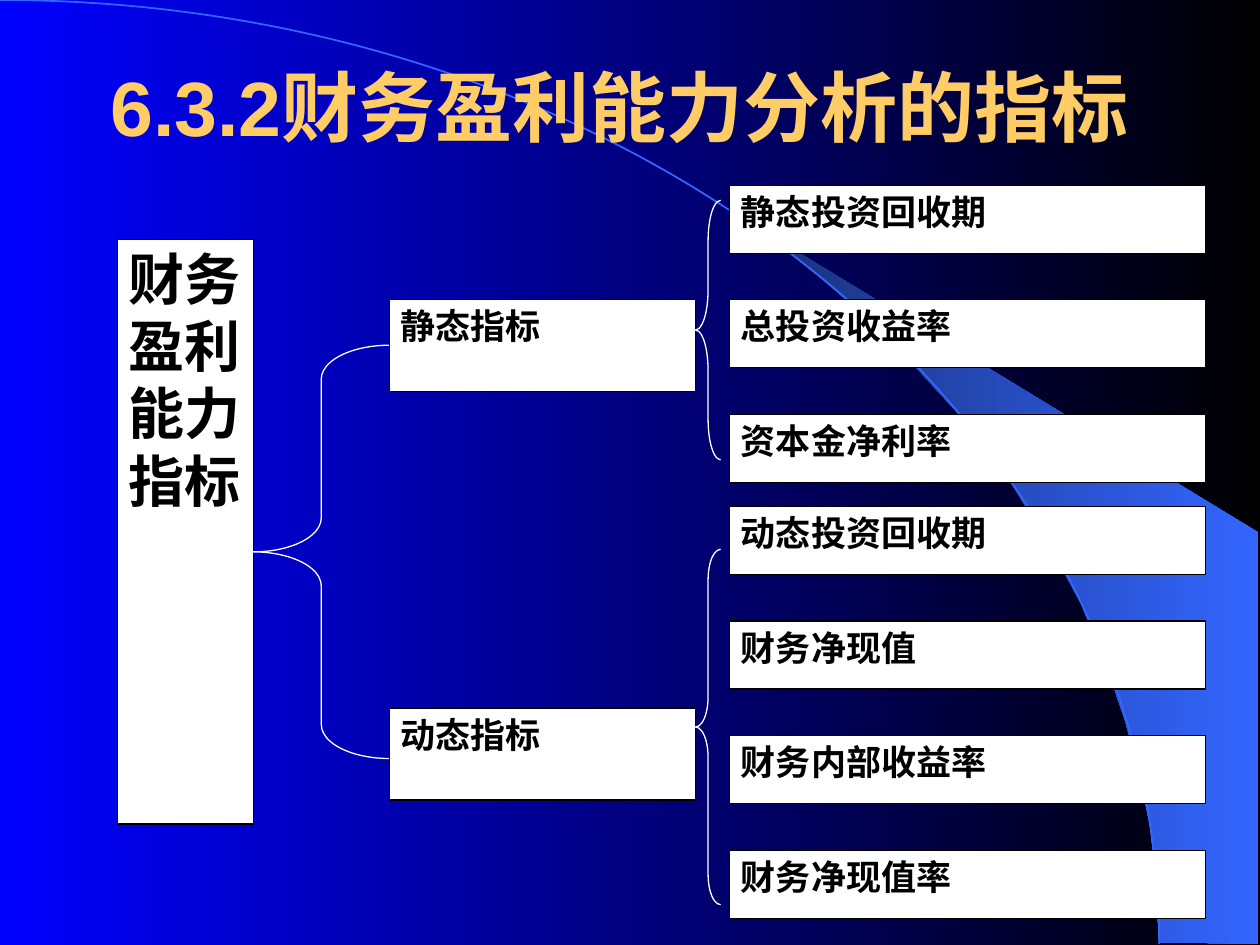
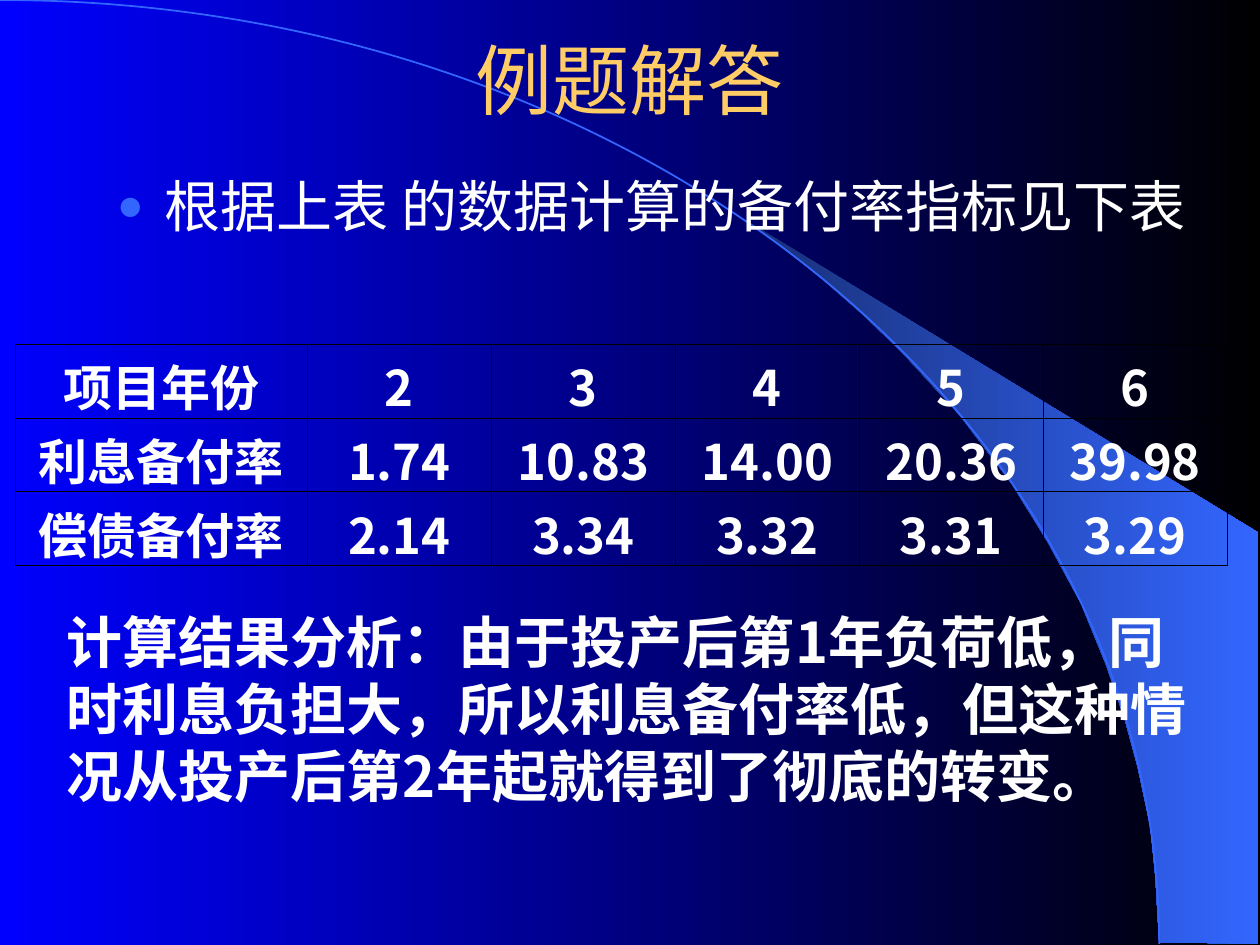
from dataclasses import dataclass
from lxml.etree import SubElement
from pptx import Presentation
from pptx.dml.color import RGBColor as Rgb
from pptx.enum.shapes import MSO_SHAPE as Kind
from pptx.enum.text import MSO_ANCHOR as Anchor, PP_ALIGN as Align
from pptx.oxml import parse_xml
from pptx.oxml.ns import qn
from pptx.util import Inches, Pt

HUE = {
    "blue": "0000FF", "black": "000000", "white": "FFFFFF",
    "gold": "FFCC66", "navy": "182F76", "sky": "3366FF",
}
SERIF, SANS, CJK = "Times New Roman", "Arial", "Noto Sans CJK SC"
WEDGE = [
    (9.2, 7.48), (9.99, 7.49), (9.99, 4.23), (5.89, 1.73), (6.24, 1.99),
    (6.53, 2.22), (6.85, 2.5), (7.16, 2.8), (7.62, 3.3), (8.03, 3.84),
    (8.32, 4.31), (8.58, 4.79), (8.78, 5.28), (8.93, 5.72), (9.03, 6.09),
    (9.13, 6.56), (9.17, 6.96), (9.2, 7.48),
]
ARC = [(5.08, 0), (9.2, 3.35), (9.2, 7.49)]


@dataclass
class Box:
    left: float
    top: float
    width: float
    height: float

    def place(self) -> list:
        return [Inches(n) for n in (self.left, self.top, self.width, self.height)]


@dataclass
class Style:
    size: int
    font: str
    hue: str
    bold: bool = False
    east: str = ""


@dataclass
class Label:
    box: Box
    text: str
    size: int = 20


@dataclass
class Brace:
    box: Box
    bend: float


TITLE = Style(44, SANS, "gold")
BODY = Style(32, SERIF, "white")
NOTE = Style(32, CJK, "white", True)
CELL = Style(28, CJK, "white", True, CJK)


def color(hue: str) -> Rgb:
    return Rgb.from_string(HUE[hue])


def blend(fill, first: str, last: str) -> None:
    """Fill with a gradient that runs from left to right."""
    fill.gradient()
    fill.gradient_angle = 0
    for stop, hue, spot in zip(fill.gradient_stops, (first, last), (0, 1)):
        stop.color.rgb = color(hue)
        stop.position = spot


def outline(shape, hue: str, width: float) -> None:
    shape.shadow.inherit = False
    shape.line.color.rgb = color(hue)
    shape.line.width = Pt(width)


def write(frame, text: str, style: Style, align=Align.LEFT):
    para = frame.paragraphs[0]
    para.alignment = align
    run = para.add_run()
    run.text = text
    form = {"size": Pt(style.size), "name": style.font, "bold": style.bold}
    for key, value in form.items():
        setattr(run.font, key, value)
    run.font.color.rgb = color(style.hue)
    if style.east:
        SubElement(run.font._element, qn("a:ea")).set("typeface", style.east)
    return para


def add_text(slide, box: Box, text: str, style: Style,
             align=Align.LEFT, anchor=Anchor.TOP):
    frame = slide.shapes.add_textbox(*box.place()).text_frame
    frame.word_wrap = True
    frame.vertical_anchor = anchor
    return write(frame, text, style, align)


def add_arc(slide) -> None:
    """Draw the quarter ellipse as one Bezier curve."""
    pen = slide.shapes.build_freeform(0, 0)
    pen.add_line_segments([tuple(map(Inches, ARC[-1]))], close=False)
    arc = pen.convert_to_shape()
    line = arc._element.find(".//" + qn("a:lnTo"))
    line.tag = qn("a:cubicBezTo")
    line.clear()
    for x, y in ARC:
        point = SubElement(line, qn("a:pt"))
        point.set("x", str(Inches(x)))
        point.set("y", str(Inches(y)))
    arc.fill.background()
    outline(arc, "sky", 1)


def add_page(deck, title: str, box: Box, bold: bool):
    slide = deck.slides.add_slide(deck.slide_layouts[6])
    blend(slide.background.fill, "blue", "black")
    first, *rest = [tuple(map(Inches, spot)) for spot in WEDGE]
    pen = slide.shapes.build_freeform(*first)
    pen.add_line_segments(rest)
    wedge = pen.convert_to_shape()
    wedge.shadow.inherit = False
    wedge.line.fill.background()
    blend(wedge.fill, "navy", "sky")
    add_arc(slide)
    style = Style(TITLE.size, TITLE.font, TITLE.hue, bold)
    add_text(slide, box, title, style, Align.CENTER, Anchor.MIDDLE)
    return slide


def add_label(slide, label: Label) -> None:
    shape = slide.shapes.add_shape(Kind.RECTANGLE, *label.box.place())
    shape.fill.solid()
    shape.fill.fore_color.rgb = color("white")
    outline(shape, "black", 0.75)
    frame = shape.text_frame
    form = {
        "word_wrap": True, "vertical_anchor": Anchor.TOP,
        "margin_left": Inches(0.09), "margin_right": Inches(0.09),
        "margin_top": Inches(0.04), "margin_bottom": Inches(0.04),
    }
    for key, value in form.items():
        setattr(frame, key, value)
    write(frame, label.text, Style(label.size, SERIF, "black", True))


def add_brace(slide, brace: Brace) -> None:
    box = brace.box
    shape = slide.shapes.add_shape(Kind.LEFT_BRACE, *box.place())
    shape.adjustments[0] = brace.bend / min(box.width, box.height)
    shape.fill.background()
    outline(shape, "white", 0.75)


def add_bullet(para) -> None:
    props = para._p.get_or_add_pPr()
    props.set("marL", str(Inches(0.38)))
    props.set("indent", str(-Inches(0.38)))
    paint = SubElement(props, qn("a:buClr"))
    SubElement(paint, qn("a:srgbClr")).set("val", HUE["sky"])
    for tag, key, value in (("buSzPct", "val", "80000"),
                            ("buFont", "typeface", SANS),
                            ("buChar", "char", "●")):
        SubElement(props, qn("a:" + tag)).set(key, value)


def edge(cell) -> None:
    """Give a cell thin black borders, placed before its fill."""
    props = cell._tc.get_or_add_tcPr()
    space = "http://schemas.openxmlformats.org/drawingml/2006/main"
    for spot, side in enumerate(("lnL", "lnR", "lnT", "lnB")):
        props.insert(spot, parse_xml(
            f'<a:{side} xmlns:a="{space}" w="{Pt(0.45)}"><a:solidFill>'
            f'<a:srgbClr val="{HUE["black"]}"/></a:solidFill></a:{side}>'))


def add_grid(slide, box: Box, rows: list, widths: list) -> None:
    frame = slide.shapes.add_table(len(rows), len(widths), *box.place())
    table = frame.table
    table.first_row = table.horz_banding = False
    for column, width in zip(table.columns, widths):
        column.width = Inches(width)
    for i, row in enumerate(rows):
        for j, text in enumerate(row):
            cell = table.cell(i, j)
            cell.fill.background()
            cell.margin_left = cell.margin_right = Inches(0.08)
            edge(cell)
            write(cell.text_frame, text, CELL, Align.CENTER)


def add_tree(deck) -> None:
    slide = add_page(deck, "6.3.2财务盈利能力分析的指标",
                     Box(0.67, 0.21, 8.5, 1.25), True)
    groups = [
        ("静态指标", 2.38, 1.47, Brace(Box(5.52, 1.59, 0.2, 2.06), 0.32),
         ["静态投资回收期", "总投资收益率", "资本金净利率"]),
        ("动态指标", 5.62, 4.02, Brace(Box(5.52, 4.36, 0.2, 2.82), 0.24),
         ["动态投资回收期", "财务净现值", "财务内部收益率", "财务净现值率"]),
    ]
    add_label(slide, Label(Box(0.93, 1.9, 1.08, 4.64), "财务盈利能力指标", 32))
    add_brace(slide, Brace(Box(2.01, 2.74, 1.08, 3.28), 0.27))
    for name, top, start, brace, leaves in groups:
        add_label(slide, Label(Box(3.09, top, 2.43, 0.73), name))
        add_brace(slide, brace)
        for i, leaf in enumerate(leaves):
            add_label(slide, Label(Box(5.79, start + i * 0.91, 3.78, 0.54), leaf))


def add_answer(deck) -> None:
    slide = add_page(deck, "例题解答", Box(0.75, 0, 8.5, 1.25), False)
    add_bullet(add_text(slide, Box(0.83, 1.31, 8.82, 0.87),
                        "根据上表 的数据计算的备付率指标见下表", BODY))
    rows = [
        ["项目年份", "2", "3", "4", "5", "6"],
        ["利息备付率", "1.74", "10.83", "14.00", "20.36", "39.98"],
        ["偿债备付率", "2.14", "3.34", "3.32", "3.31", "3.29"],
    ]
    add_grid(slide, Box(0.12, 2.73, 9.61, 1.76), rows, [2.32] + [1.46] * 5)
    add_text(slide, Box(0.43, 4.77, 9.14, 1.97),
             "计算结果分析：由于投产后第1年负荷低，同时利息负担大，所以利息备付率低，"
             "但这种情况从投产后第2年起就得到了彻底的转变。", NOTE)


def main() -> None:
    deck = Presentation()
    deck.slide_width, deck.slide_height = Inches(10), Inches(7.5)
    add_tree(deck)
    add_answer(deck)
    deck.save("out.pptx")


if __name__ == "__main__":
    main()
